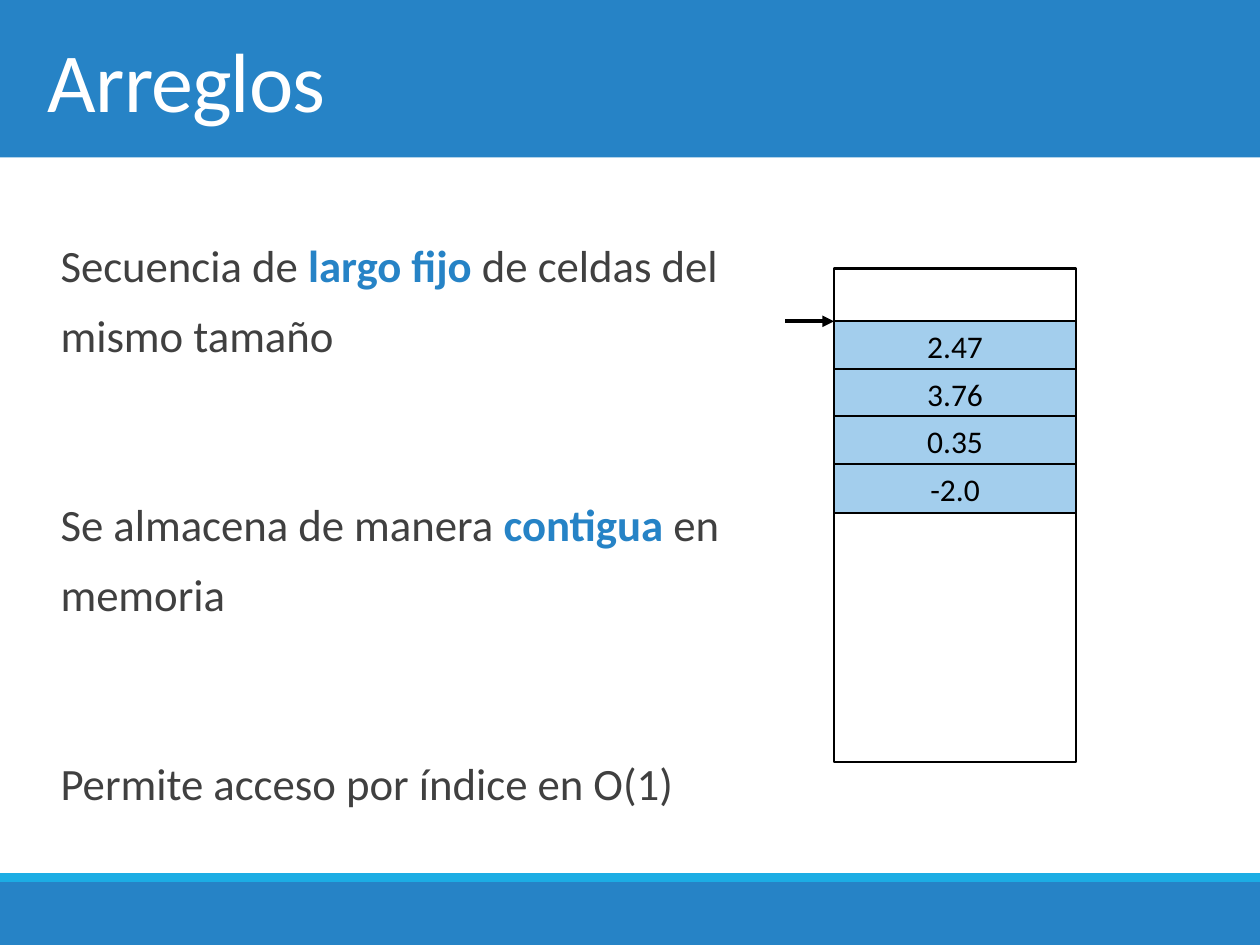
from pptx import Presentation
from pptx.dml.color import RGBColor
from pptx.enum.shapes import MSO_CONNECTOR, MSO_SHAPE
from pptx.enum.text import MSO_ANCHOR, PP_ALIGN
from pptx.oxml.ns import qn
from pptx.util import Pt
from lxml.etree import SubElement

BLUE = RGBColor(0x26, 0x83, 0xC6)
CYAN = RGBColor(0x1C, 0xAD, 0xE4)
PALE = RGBColor(0xA3, 0xCE, 0xED)
GRAY = RGBColor(0x40, 0x40, 0x40)
BLACK = RGBColor(0, 0, 0)
WHITE = RGBColor(255, 255, 255)

POINTS = [
    [("Secuencia de ", False), ("largo fijo", True),
     (" de celdas del mismo tamaño", False)],
    [("Se almacena de manera ", False), ("contigua", True),
     (" en memoria", False)],
    [("Permite acceso por índice en O(1)", False)],
]
VALUES = ["2.47", "3.76", "0.35", "-2.0"]
LEFT, WIDTH = 476.6, 138.4
TOP, STEP = 183.6, 27.15


def style(font, size, color, bold=False):
    font.name = "Calibri"
    font.size = Pt(size)
    font.color.rgb = color
    font.bold = bold


def place(shape, left, top, width, height):
    shape.left, shape.top = Pt(left), Pt(top)
    shape.width, shape.height = Pt(width), Pt(height)


def add_rect(slide, left, top, width, height, fill, line=None):
    rect = slide.shapes.add_shape(
        MSO_SHAPE.RECTANGLE, Pt(left), Pt(top), Pt(width), Pt(height))
    rect.shadow.inherit = False
    rect.fill.solid()
    rect.fill.fore_color.rgb = fill
    if line is None:
        rect.line.fill.background()
    else:
        rect.line.color.rgb = line
        rect.line.width = Pt(1.25)
    return rect


def add_cell(slide, top, value):
    cell = add_rect(slide, LEFT, top, WIDTH, 28.1, PALE, BLACK)
    frame = cell.text_frame
    frame.text = value
    frame.vertical_anchor = MSO_ANCHOR.MIDDLE
    para = frame.paragraphs[0]
    para.alignment = PP_ALIGN.CENTER
    style(para.runs[0].font, 18, BLACK)


def add_arrow(slide, start, end, y):
    arrow = slide.shapes.add_connector(
        MSO_CONNECTOR.STRAIGHT, Pt(start), Pt(y), Pt(end), Pt(y))
    arrow.line.color.rgb = BLACK
    arrow.line.width = Pt(2.25)
    SubElement(arrow.line._get_or_add_ln(), qn("a:tailEnd"), type="triangle")
    SubElement(arrow._element.spPr, qn("a:effectLst"))


def set_title(slide, text):
    title = slide.shapes.title
    place(title, 20.2, 0, 680.4, 90)
    frame = title.text_frame
    frame.text = text
    frame.vertical_anchor = MSO_ANCHOR.MIDDLE
    para = frame.paragraphs[0]
    para.alignment = PP_ALIGN.LEFT
    run = para.runs[0]
    style(run.font, 48, WHITE)
    run.font._element.set("spc", "-50")
    slide.shapes._spTree.append(title._element)


def add_body(slide, points):
    box = slide.shapes.add_textbox(Pt(20.2), Pt(101.5), Pt(399.6), Pt(385.9))
    frame = box.text_frame
    frame.word_wrap = True
    frame.vertical_anchor = MSO_ANCHOR.MIDDLE
    frame.margin_left = Pt(14.4)
    for i, parts in enumerate(points):
        para = frame.add_paragraph() if i else frame.paragraphs[0]
        para.line_spacing = 1.3
        para.space_before = Pt(66 if i else 0)
        para.space_after = Pt(2)
        for text, key in parts:
            run = para.add_run()
            run.text = text
            style(run.font, 25.6, BLUE if key else GRAY, key)


def main():
    deck = Presentation()
    deck.slide_width, deck.slide_height = Pt(720), Pt(540)
    slide = deck.slides.add_slide(deck.slide_layouts[5])
    add_rect(slide, 0, 0, 720, 90, BLUE)
    add_rect(slide, 0, 504, 720, 36, BLUE)
    add_rect(slide, 0, 499, 720, 5, CYAN)
    set_title(slide, "Arreglos")
    add_body(slide, POINTS)
    add_rect(slide, LEFT, 153.4, WIDTH, 282.2, WHITE, BLACK)
    for i, value in enumerate(VALUES):
        add_cell(slide, TOP + i * STEP, value)
    add_arrow(slide, 448.6, LEFT, TOP)
    deck.save("out.pptx")


if __name__ == "__main__":
    main()
